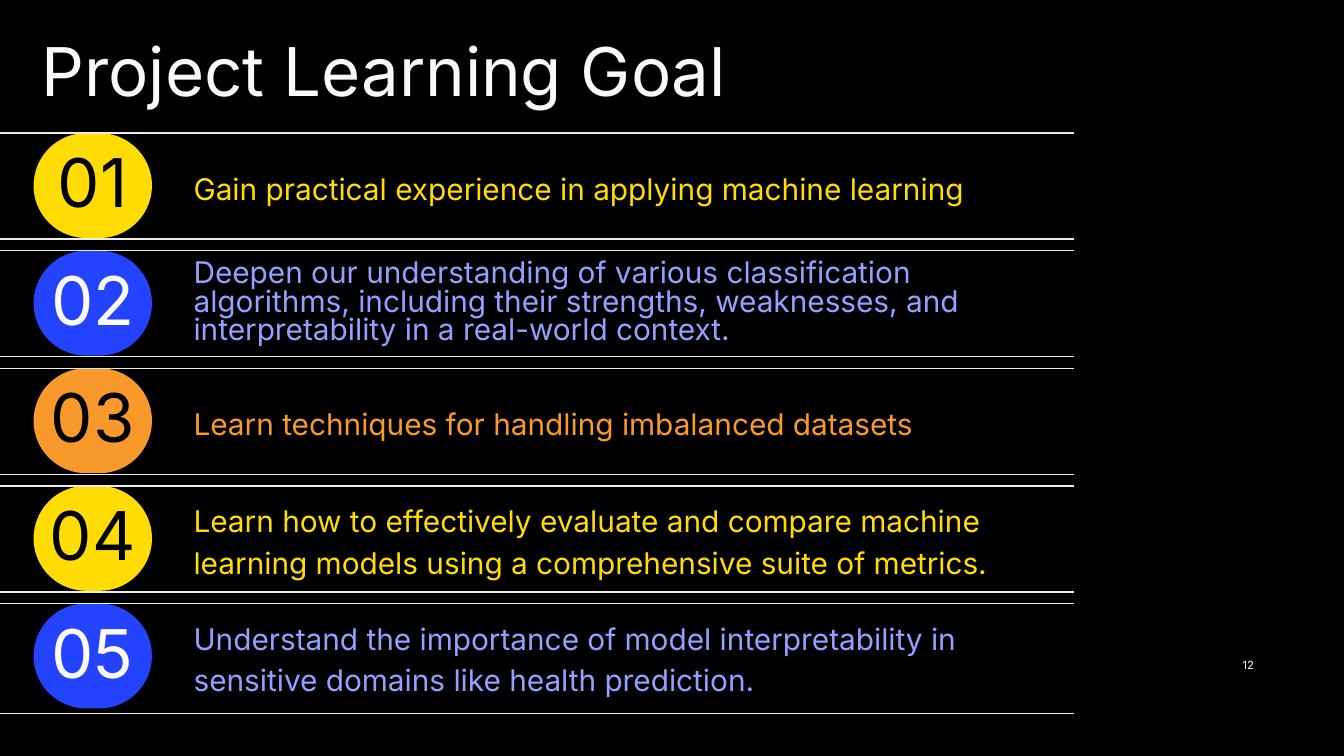
from lxml.etree import SubElement
from pptx import Presentation
from pptx.dml.color import RGBColor
from pptx.enum.shapes import MSO_CONNECTOR as Connector, MSO_SHAPE as Shape
from pptx.enum.text import MSO_ANCHOR as Anchor, PP_ALIGN as Align
from pptx.oxml.ns import qn
from pptx.util import Pt

COLORS = {
    "background": "000000",
    "black": "000000",
    "white": "FAFAFA",
    "rule": "F0EEE2",
    "yellow": "FFDD04",
    "blue": "2443FF",
    "lavender": "92A1FF",
    "orange": "F8992B",
}
FONT = "Inter"

# Row grid, in points
FIRST_ROW, ROW_PITCH, ROW_HEIGHT = 71.3, 63, 56.8
LAST_RULE = 382.3
RULE_WIDTH = 575.3
BADGE_LEFT, BADGE_WIDTH, BADGE_HEIGHT = 18, 63.4, 56.2
GOAL_LEFT, GOAL_WIDTH = 103.7, 471.6

# Badge colour, number colour, goal colour, line spacing, goal
GOALS = [
    ("yellow", "black", "yellow", 1.15,
     "Gain practical experience in applying machine learning"),
    ("blue", "white", "lavender", 0.8,
     "Deepen our understanding of various classification algorithms, including "
     "their strengths, weaknesses, and interpretability in a real-world context."),
    ("orange", "black", "orange", 1.15,
     "Learn techniques for handling imbalanced datasets"),
    ("yellow", "black", "yellow", 1.15,
     "Learn how to effectively evaluate and compare machine learning models "
     "using a comprehensive suite of metrics."),
    ("blue", "white", "lavender", 1.15,
     "Understand the importance of model interpretability in sensitive domains "
     "like health prediction."),
]


def color(name):
    return RGBColor.from_string(COLORS[name])


def add_text(slide, box, text, size, ink, spacing=1.0,
             align=Align.LEFT, anchor=Anchor.MIDDLE):
    frame = slide.shapes.add_textbox(*map(Pt, box)).text_frame
    frame.word_wrap = True
    frame.vertical_anchor = anchor
    frame.margin_left = frame.margin_right = Pt(0)
    frame.margin_top = frame.margin_bottom = Pt(0)
    paragraph = frame.paragraphs[0]
    paragraph.text = text
    paragraph.alignment = align
    paragraph.line_spacing = spacing
    paragraph.font.name = FONT
    paragraph.font.size = Pt(size)
    paragraph.font.color.rgb = color(ink)


def add_rule(slide, y):
    rule = slide.shapes.add_connector(
        Connector.STRAIGHT, Pt(RULE_WIDTH), Pt(y), Pt(0), Pt(y))
    rule.line.color.rgb = color("rule")
    rule.line.width = Pt(0.75)
    SubElement(rule._element.spPr, qn("a:effectLst"))


def add_badge(slide, top, fill):
    badge = slide.shapes.add_shape(
        Shape.ROUNDED_RECTANGLE,
        Pt(BADGE_LEFT), Pt(top), Pt(BADGE_WIDTH), Pt(BADGE_HEIGHT))
    badge.adjustments[0] = 0.5
    badge.shadow.inherit = False
    badge.fill.solid()
    badge.fill.fore_color.rgb = color(fill)
    badge.line.fill.background()


def add_goal(slide, index, fill, number_ink, goal_ink, spacing, goal):
    top = FIRST_ROW + index * ROW_PITCH
    is_last = index == len(GOALS) - 1
    add_badge(slide, top, fill)
    add_rule(slide, top)
    add_rule(slide, LAST_RULE if is_last else top + ROW_HEIGHT)
    add_text(slide, (BADGE_LEFT, top, BADGE_WIDTH, ROW_HEIGHT),
             f"{index + 1:02}", 36, number_ink, 0.9, Align.CENTER)
    add_text(slide, (GOAL_LEFT, top, GOAL_WIDTH, ROW_HEIGHT),
             goal, 16, goal_ink, spacing)


def main():
    deck = Presentation()
    deck.slide_width, deck.slide_height = Pt(720), Pt(405)
    slide = deck.slides.add_slide(deck.slide_layouts[6])
    slide.background.fill.solid()
    slide.background.fill.fore_color.rgb = color("background")

    # Title
    add_text(slide, (22.3, 22.3, 447, 37.4), "Project Learning Goal",
             36, "white", 0.85, anchor=Anchor.TOP)

    # Numbered goals
    for index, goal in enumerate(GOALS):
        add_goal(slide, index, *goal)

    # Slide number
    add_text(slide, (628.6, 352.8, 43.2, 5.8), "12", 6, "white",
             align=Align.RIGHT, anchor=Anchor.TOP)

    deck.save("out.pptx")


if __name__ == "__main__":
    main()
